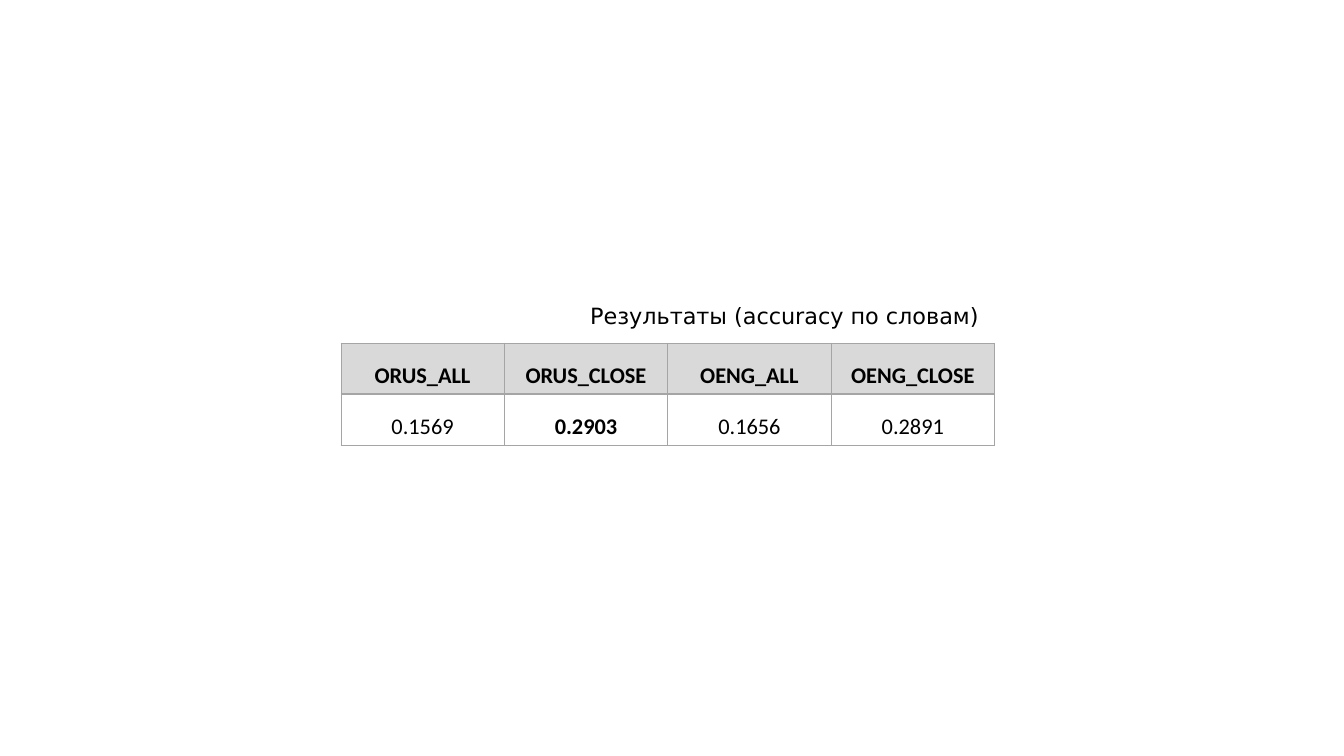
"""Build a slide with a captioned table of word accuracy results."""
import pptx
import pptx.util
import pptx.dml.color
import pptx.enum.text
import pptx.oxml.ns
from lxml import etree

COLOURS = {"text": "000000", "header": "D9D9D9", "body": "FFFFFF", "border": "A5A5A5"}
RESULTS = [
    ["ORUS_ALL", "ORUS_CLOSE", "OENG_ALL", "OENG_CLOSE"],
    ["0.1569", "0.2903", "0.1656", "0.2891"],
]
BEST_RESULT = "0.2903"
Pt = pptx.util.Pt
qn = pptx.oxml.ns.qn


def add_text(paragraph, text, font_name, bold=False):
    run = paragraph.add_run()
    run.text = text
    run.font.name = font_name
    run.font.size = Pt(16)
    run.font.bold = bold
    run.font.color.rgb = pptx.dml.color.RGBColor.from_string(COLOURS["text"])


def add_border(cell, side, width):
    line = etree.SubElement(cell._tc.get_or_add_tcPr(), qn("a:ln" + side), w=str(Pt(width)))
    fill = etree.SubElement(line, qn("a:solidFill"))
    etree.SubElement(fill, qn("a:srgbClr"), val=COLOURS["border"])


presentation = pptx.Presentation()
presentation.slide_width = Pt(960.5)
presentation.slide_height = Pt(540)
slide = presentation.slides.add_slide(presentation.slide_layouts[6])

table_shape = slide.shapes.add_table(2, 4, Pt(243.6), Pt(244.9), Pt(467.2), Pt(57.6))
table = table_shape.table
table.first_row = True
table.horz_banding = False

for column in table.columns:
    column.width = Pt(116.8)

for row_index, values in enumerate(RESULTS):
    is_header = row_index == 0
    table.rows[row_index].height = Pt(28.8)
    for column_index, value in enumerate(values):
        cell = table.cell(row_index, column_index)
        cell.margin_left = cell.margin_right = Pt(5.4)
        cell.margin_top = cell.margin_bottom = Pt(3.6)
        anchor = pptx.enum.text.MSO_ANCHOR
        cell.vertical_anchor = anchor.BOTTOM if is_header else anchor.TOP
        for side in "LRTB":
            is_divider = side == ("B" if is_header else "T")
            add_border(cell, side, 0.96 if is_divider else 0.45)
        cell.fill.solid()
        fill_colour = COLOURS["header" if is_header else "body"]
        cell.fill.fore_color.rgb = pptx.dml.color.RGBColor.from_string(fill_colour)
        if not is_header:
            colour = cell._tc.tcPr.find(qn("a:solidFill")).find(qn("a:srgbClr"))
            etree.SubElement(colour, qn("a:alpha"), val="20000")
        paragraph = cell.text_frame.paragraphs[0]
        paragraph.alignment = pptx.enum.text.PP_ALIGN.CENTER
        paragraph.line_spacing = 1.5
        add_text(paragraph, value, "Calibri", bold=is_header or value == BEST_RESULT)

caption = slide.shapes.add_textbox(Pt(414.7), Pt(212.4), Pt(296), Pt(26.6))
caption.text_frame.word_wrap = True
caption.text_frame.auto_size = pptx.enum.text.MSO_AUTO_SIZE.SHAPE_TO_FIT_TEXT
add_text(caption.text_frame.paragraphs[0], "Результаты (accuracy по словам)", "DejaVu Sans")

presentation.save("out.pptx")
